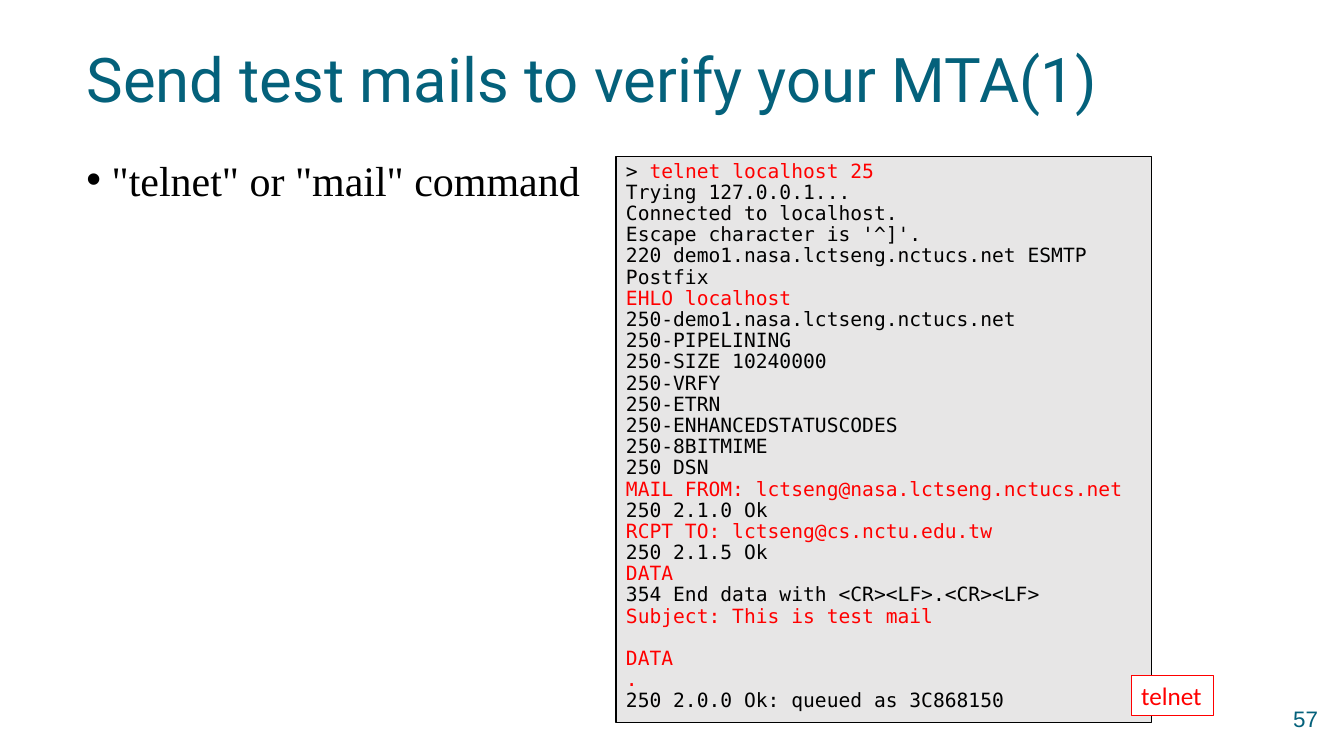
from dataclasses import dataclass

import pptx
import pptx.dml.color
import pptx.enum.shapes
import pptx.enum.text
import pptx.oxml.ns
import pptx.slide
import pptx.text.text
import pptx.util
from lxml import etree

EMU_PER_PX = 9144
COLOURS = {
    "teal": "04617B",
    "black": "000000",
    "red": "FF0000",
    "grey": "E7E6E6",
    "white": "FFFFFF",
}
MONO = "DejaVu Sans Mono"
PROMPT = "> "
SESSION = """> telnet localhost 25
Trying 127.0.0.1...
Connected to localhost.
Escape character is '^]'.
220 demo1.nasa.lctseng.nctucs.net ESMTP Postfix
EHLO localhost
250-demo1.nasa.lctseng.nctucs.net
250-PIPELINING
250-SIZE 10240000
250-VRFY
250-ETRN
250-ENHANCEDSTATUSCODES
250-8BITMIME
250 DSN
MAIL FROM: lctseng@nasa.lctseng.nctucs.net
250 2.1.0 Ok
RCPT TO: lctseng@cs.nctu.edu.tw
250 2.1.5 Ok
DATA
354 End data with <CR><LF>.<CR><LF>
Subject: This is test mail

DATA
.
250 2.0.0 Ok: queued as 3C868150"""
TYPED_STARTS = ("EHLO", "MAIL FROM", "RCPT TO", "DATA", "Subject", ".")


@dataclass(frozen=True)
class Block:
    text: str
    left: int
    top: int
    width: int
    height: int
    font: str
    size: int
    colour: str
    fill: str = ""
    border: str = ""
    border_width: float = 0
    line_spacing: float = 1.0
    centred: bool = False
    middle: bool = False


TITLE = Block("Send test mails to verify your MTA(1)", 76, 30, 1180, 103,
              "Roboto", 44, "teal", line_spacing=0.9, middle=True)
COMMANDS = Block('"telnet" or "mail" command', 76, 148, 1180, 528,
                 "Times New Roman", 30, "black")
PAGE_NUMBER = Block("57", 1265, 695, 60, 40, "Arial", 16, "teal", centred=True)
TERMINAL = Block(SESSION, 611, 155, 531, 562, MONO, 14, "black",
                 fill="grey", border="black", border_width=1, line_spacing=0.9)
TELNET_TAG = Block("telnet", 1122, 670, 82, 40, "Calibri", 18, "red",
                   fill="white", border="red", border_width=0.75)


def px(length: int) -> pptx.util.Emu:
    return pptx.util.Emu(length * EMU_PER_PX)


def rgb(name: str) -> pptx.dml.color.RGBColor:
    return pptx.dml.color.RGBColor.from_string(COLOURS[name])


def draw_block(slide: pptx.slide.Slide, block: Block) -> pptx.text.text.TextFrame:
    bounds = [px(n) for n in (block.left, block.top, block.width, block.height)]
    if block.fill:
        panel = slide.shapes.add_shape(
            pptx.enum.shapes.MSO_SHAPE.RECTANGLE, *bounds)
        panel.shadow.inherit = False
        panel.fill.solid()
        panel.fill.fore_color.rgb = rgb(block.fill)
        panel.line.color.rgb = rgb(block.border)
        panel.line.width = pptx.util.Pt(block.border_width)
    else:
        panel = slide.shapes.add_textbox(*bounds)
    frame = panel.text_frame
    frame.text = block.text
    frame.word_wrap = True
    anchors = pptx.enum.text.MSO_ANCHOR
    frame.vertical_anchor = anchors.MIDDLE if block.middle else anchors.TOP
    alignments = pptx.enum.text.PP_ALIGN
    for paragraph in frame.paragraphs:
        paragraph.alignment = alignments.CENTER if block.centred else alignments.LEFT
        paragraph.line_spacing = block.line_spacing
        for run in paragraph.runs:
            style_run(run, block, block.colour)
        if not paragraph.runs:
            size_empty_line(paragraph, block)
    return frame


def style_run(run: pptx.text.text._Run, block: Block, colour: str) -> None:
    run.font.name = block.font
    run.font.size = pptx.util.Pt(block.size)
    run.font.color.rgb = rgb(colour)


def size_empty_line(paragraph: pptx.text.text._Paragraph, block: Block) -> None:
    qn = pptx.oxml.ns.qn
    ending = etree.SubElement(paragraph._p, qn("a:endParaRPr"),
                              sz=str(block.size * 100))
    etree.SubElement(ending, qn("a:latin"), typeface=block.font)


def add_bullet(paragraph: pptx.text.text._Paragraph, indent: int) -> None:
    qn = pptx.oxml.ns.qn
    properties = paragraph._p.get_or_add_pPr()
    properties.set("marL", str(px(indent)))
    properties.set("indent", str(px(-indent)))
    bullet_colour = etree.SubElement(properties, qn("a:buClr"))
    etree.SubElement(bullet_colour, qn("a:srgbClr"), val=COLOURS["black"])
    etree.SubElement(properties, qn("a:buFont"), typeface="Arial")
    etree.SubElement(properties, qn("a:buChar"), char="•")


def highlight_typed(frame: pptx.text.text.TextFrame, block: Block) -> None:
    for paragraph in frame.paragraphs:
        line = paragraph.text
        if line.startswith(PROMPT):
            paragraph.runs[0].text = PROMPT
            command = paragraph.add_run()
            command.text = line.removeprefix(PROMPT)
            style_run(command, block, "red")
        elif line.startswith(TYPED_STARTS):
            paragraph.runs[0].font.color.rgb = rgb("red")


def main() -> None:
    deck = pptx.Presentation()
    deck.slide_width, deck.slide_height = px(1333), px(750)
    slide = deck.slides.add_slide(deck.slide_layouts[6])
    draw_block(slide, TITLE)
    commands = draw_block(slide, COMMANDS)
    add_bullet(commands.paragraphs[0], 25)
    draw_block(slide, PAGE_NUMBER)
    session = draw_block(slide, TERMINAL)
    highlight_typed(session, TERMINAL)
    draw_block(slide, TELNET_TAG)
    deck.save("out.pptx")


if __name__ == "__main__":
    main()
